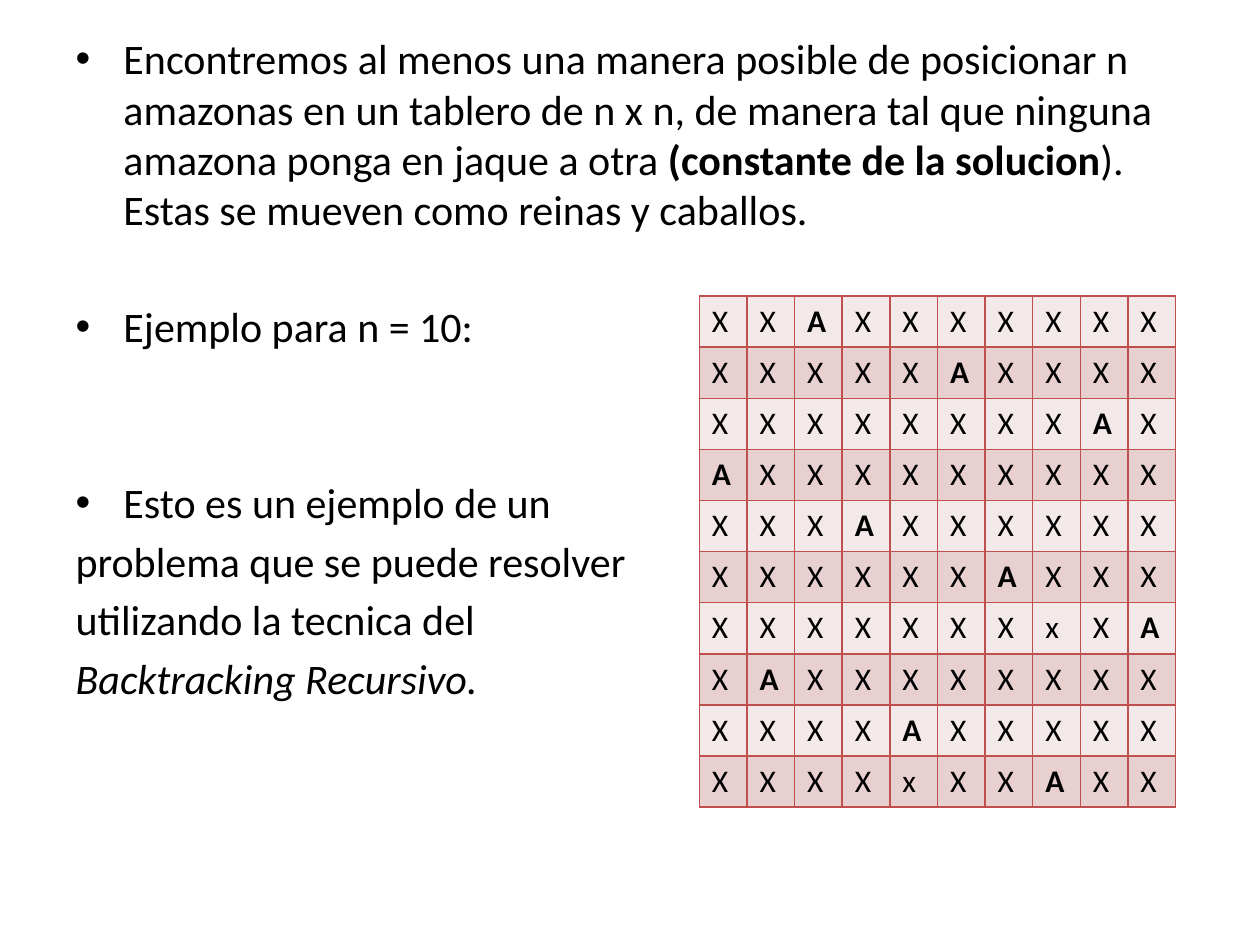
import pptx
import pptx.dml.color
import pptx.enum.text
import pptx.oxml.ns
import pptx.util
from lxml import etree
from pptx.util import Inches

COLORS = {"text": "000000", "border": "C0504D", "light": "F4E9E9", "dark": "E8D0D0"}
FONT = "Calibri"


def rgb(name):
    return pptx.dml.color.RGBColor.from_string(COLORS[name])


def add_run(paragraph, text, size, **styles):
    run = paragraph.add_run()
    run.text = text
    run.font.color.rgb = rgb("text")
    values = {"name": FONT, "size": pptx.util.Pt(size), **styles}
    for attribute, value in values.items():
        setattr(run.font, attribute, value)


presentation = pptx.Presentation()
presentation.slide_width, presentation.slide_height = Inches(10), Inches(7.5)
# The slide has body text but no title
slide = presentation.slides.add_slide(presentation.slide_layouts.get_by_name("Title and Content"))
title = slide.shapes.title
title.element.getparent().remove(title.element)

# Problem statement: bulleted, space before in points, runs
body = slide.placeholders[1]
body.left, body.top, body.width, body.height = (Inches(v) for v in (0.5, 0.21, 9, 6.49))
body.text_frame.word_wrap = True
body.text_frame.auto_size = pptx.enum.text.MSO_AUTO_SIZE.NONE
statements = [
    (True, 0, [
        ("Encontremos al menos una manera posible de posicionar n amazonas en un tablero "
         "de n x n, de manera tal que ninguna amazona ponga en jaque a otra ", {}),
        ("(constante de la solucion", {"bold": True}),
        ("). Estas se mueven como reinas y caballos.", {}),
    ]),
    (True, 38, [("Ejemplo para n = 10:", {})]),
    (True, 71.5, [("Esto es un ejemplo de un", {})]),
    (False, 4.8, [("problema que se puede resolver", {})]),
    (False, 4.8, [("utilizando la tecnica del", {})]),
    (False, 4.8, [("Backtracking Recursivo.", {"italic": True})]),
]
for index, (bulleted, space_before, runs) in enumerate(statements):
    paragraph = body.text_frame.paragraphs[0] if index == 0 else body.text_frame.add_paragraph()
    paragraph.space_before = pptx.util.Pt(space_before)
    properties = paragraph._p.get_or_add_pPr()
    indent = Inches(0.38) if bulleted else 0
    properties.set("marL", str(indent))
    properties.set("indent", str(-indent))
    if bulleted:
        etree.SubElement(properties, pptx.oxml.ns.qn("a:buChar")).set("char", "•")
    else:
        etree.SubElement(properties, pptx.oxml.ns.qn("a:buNone"))
    for text, styles in runs:
        add_run(paragraph, text, 24, **styles)

# Board with the amazons
board = [
    "XXAXXXXXXX",
    "XXXXXAXXXX",
    "XXXXXXXXAX",
    "AXXXXXXXXX",
    "XXXAXXXXXX",
    "XXXXXXAXXX",
    "XXXXXXXxXA",
    "XAXXXXXXXX",
    "XXXXAXXXXX",
    "XXXXxXXAXX",
]
size = len(board)
table = slide.shapes.add_table(
    size, size, Inches(5.55), Inches(2.35), Inches(3.78), Inches(4)).table
table.first_row = table.horz_banding = False
for row, line in enumerate(board):
    for column, mark in enumerate(line):
        cell = table.cell(row, column)
        cell_properties = cell._tc.get_or_add_tcPr()
        for side in ("a:lnL", "a:lnR", "a:lnT", "a:lnB"):
            border = etree.SubElement(cell_properties, pptx.oxml.ns.qn(side))
            border.set("w", str(pptx.util.Pt(1)))
            fill = etree.SubElement(border, pptx.oxml.ns.qn("a:solidFill"))
            etree.SubElement(fill, pptx.oxml.ns.qn("a:srgbClr")).set("val", COLORS["border"])
        cell.fill.solid()
        cell.fill.fore_color.rgb = rgb("dark" if row % 2 else "light")
        add_run(cell.text_frame.paragraphs[0], mark, 18, bold=mark == "A")

presentation.save("out.pptx")
